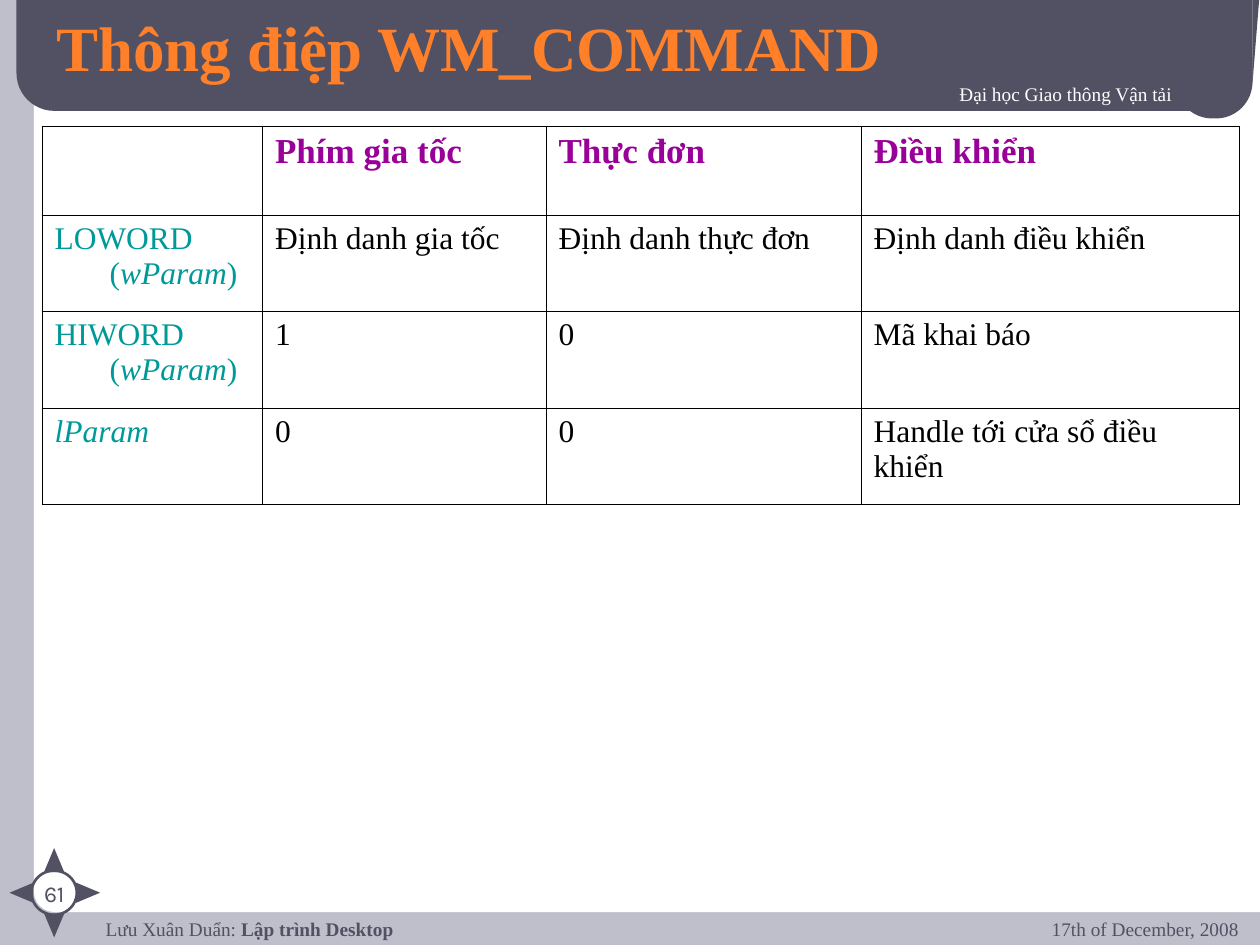
"""Build the slide on the WM_COMMAND message and its parameters."""
from lxml import etree
from pptx import Presentation
from pptx import util as u
from pptx.dml.color import RGBColor
from pptx.enum import shapes, text
from pptx.oxml.ns import qn

SLATE, WHITE, BLACK = "515163", "FFFFFF", "000000"
ORANGE, PURPLE, TEAL = "FF8029", "990099", "009999"
SERIF = "Times New Roman"
KIND = shapes.MSO_SHAPE
LEFT, CENTER, RIGHT = text.PP_ALIGN.LEFT, text.PP_ALIGN.CENTER, text.PP_ALIGN.RIGHT


def paint(color_format, color):
    color_format.rgb = RGBColor.from_string(color)


def write(paragraph, words, color, **font_format):
    run = paragraph.add_run()
    run.text = words
    paint(run.font.fill.solid() or run.font.fill.fore_color, color)
    for attribute, value in font_format.items():
        setattr(run.font, attribute, value)
    return run


deck = Presentation()
deck.slide_width, deck.slide_height = u.Pt(720), u.Pt(540)
slide = deck.slides.add_slide(deck.slide_layouts[6])
slide.background.fill.solid()
paint(slide.background.fill.fore_color, "BFBFCB")

page_and_header = [
    (KIND.ROUNDED_RECTANGLE, (19.4, -9.4, 720.7, 530.6), 0, 0.022, WHITE),
    (KIND.ROUNDED_RECTANGLE, (9.4, -25.9, 706.3, 89.3), 0, 0.242, SLATE),
    (KIND.ROUNDED_RECTANGLE, (671.8, 20.9, 43.9, 46.8), 0, 0.475, SLATE),
    (KIND.RIGHT_TRIANGLE, (715.7, -5.8, 4.3, 54), 180, None, SLATE),
]
compass = [
    (KIND.ISOSCELES_TRIANGLE, (left, top, 11.5, 13.7), turn, 0.5, SLATE)
    for left, top, turn in [(44.6, 503.3, 90), (6.5, 503.3, 270),
                            (25.2, 484.6, 0), (25.2, 522, 180)]
]
ring = (KIND.OVAL, (18, 497.5, 25.9, 25.2), 0, None, None)

for kind, box, turn, adjustment, color in page_and_header + [ring] + compass:
    part = slide.shapes.add_shape(kind, *map(u.Pt, box))
    part.shadow.inherit = False
    part.rotation = turn
    if adjustment is not None:
        part.adjustments[0] = adjustment
    if color:
        part.fill.solid()
        paint(part.fill.fore_color, color)
        part.line.fill.background()
    else:
        part.fill.background()
        paint(part.line.fill.solid() or part.line.color, SLATE)
        part.line.width = u.Pt(1.5)
    if kind == KIND.RIGHT_TRIANGLE:
        part.element.spPr.find(qn("a:xfrm")).set("flipH", "1")

captions = [
    ((53.3, 524.2, 557.3, 23.8), LEFT, 0, 11, SERIF, SLATE, False,
     [("Lưu Xuân Duẩn: ", False), ("Lập trình Desktop", True)]),
    ((10.1, 499, 41.8, 15.8), CENTER, 3.6, 13, "Karla", SLATE, False, [("61", False)]),
    ((218.2, 43.2, 458.6, 27.4), RIGHT, 3.6, 11, SERIF, WHITE, True,
     [("Đại học Giao thông Vận tải", False)]),
    ((541.4, 520.6, 173.5, 30.2), RIGHT, 3.6, 11, SERIF, SLATE, False,
     [("17th of December, 2008", False)]),
    ((25.2, 5.8, 601.9, 41), LEFT, 3.6, 36, SERIF, ORANGE, True,
     [("Thông điệp WM_COMMAND", True)]),
]
for box, align, inset, size, face, color, shadowed, pieces in captions:
    frame = slide.shapes.add_textbox(*map(u.Pt, box)).text_frame
    frame.word_wrap = True
    frame.margin_top = frame.margin_bottom = u.Pt(inset)
    if size == 36:
        frame.vertical_anchor = text.MSO_ANCHOR.MIDDLE
    line = frame.paragraphs[0]
    line.alignment = align
    for words, bold in pieces:
        run = write(line, words, color, size=u.Pt(size), name=face, bold=bold)
        if shadowed:
            effects = etree.Element(qn("a:effectLst"))
            shadow = etree.SubElement(effects, qn("a:outerShdw"), dist="25400", dir="2700000")
            etree.SubElement(shadow, qn("a:srgbClr"), val=BLACK)
            run.font._element.find(qn("a:solidFill")).addnext(effects)

column_widths = [126, 162, 180, 216]
row_heights = [50.85] + [55.15] * 3
parameters = [
    ["", "Phím gia tốc", "Thực đơn", "Điều khiển"],
    ["LOWORD (|wParam|)", "Định danh gia tốc", "Định danh thực đơn", "Định danh điều khiển"],
    ["HIWORD (|wParam|)", "1", "0", "Mã khai báo"],
    ["|lParam", "0", "0", "Handle tới cửa sổ điều khiển"],
]
grid = slide.shapes.add_table(4, 4, u.Pt(24), u.Pt(72), u.Pt(sum(column_widths)),
                              u.Pt(sum(row_heights))).table
grid.first_row = grid.horz_banding = False
for column, width in zip(grid.columns, column_widths):
    column.width = u.Pt(width)
for r, (row, height) in enumerate(zip(grid.rows, row_heights)):
    row.height = u.Pt(height)
    for c, cell in enumerate(row.cells):
        cell.fill.background()
        line = cell.text_frame.paragraphs[0]
        if (r, c) != (3, 3):
            hanging = line._p.get_or_add_pPr()
            hanging.set("marL", str(u.Pt(31.5)))
            hanging.set("indent", str(u.Pt(-31.5)))
        color = PURPLE if r == 0 else TEAL if c == 0 else BLACK
        for i, words in enumerate(parameters[r][c].split("|")):
            if words:
                write(line, words, color, size=u.Pt(18 if r else 20), name=SERIF,
                      bold=r == 0, italic=i == 1)
        borders = cell._tc.get_or_add_tcPr()
        for i, side in enumerate("LRTB"):
            edge = etree.Element(qn(f"a:ln{side}"), w=str(u.Pt(0.45)))
            solid = etree.SubElement(edge, qn("a:solidFill"))
            etree.SubElement(solid, qn("a:srgbClr"), val=BLACK)
            borders.insert(i, edge)

deck.save("out.pptx")
